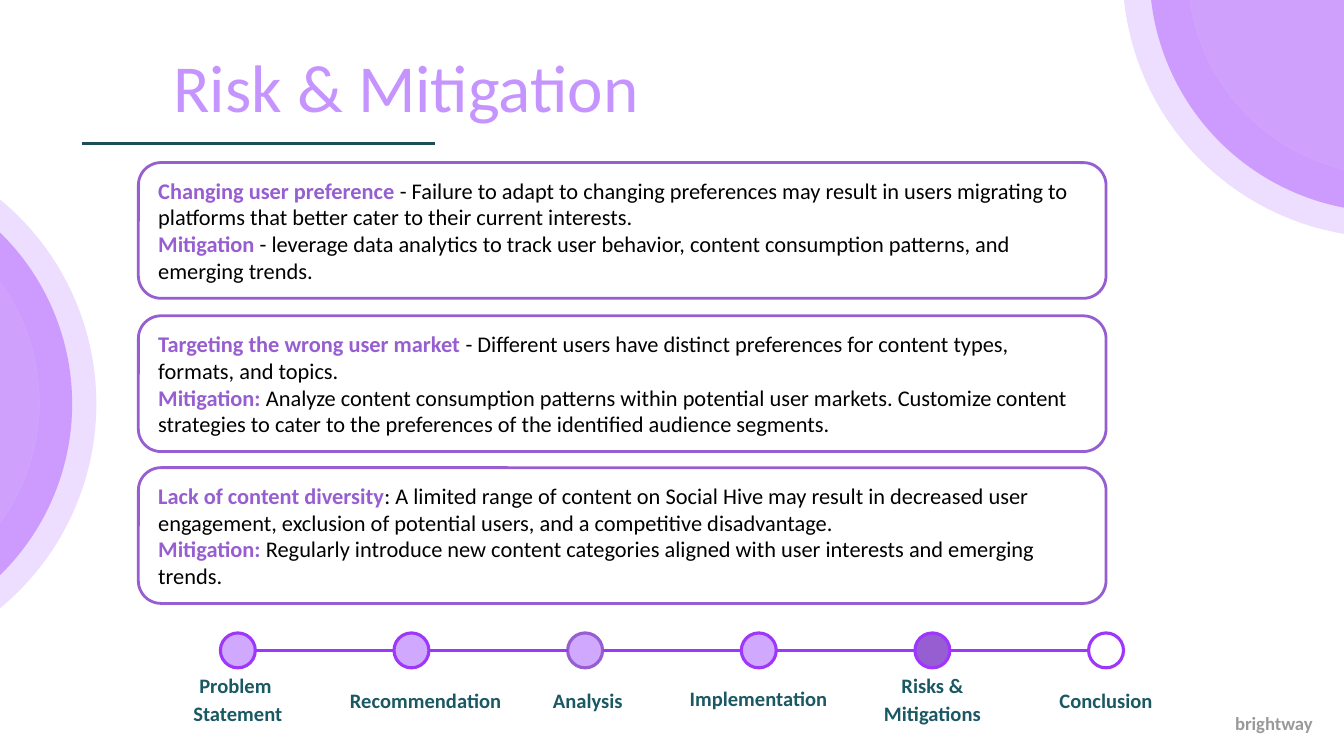
import pptx
import pptx.util
import pptx.dml.color
import pptx.enum.shapes
import pptx.enum.text
import pptx.oxml.ns
from lxml import etree

Inches = pptx.util.Inches
Pt = pptx.util.Pt
Shapes = pptx.enum.shapes.MSO_SHAPE
Align = pptx.enum.text.PP_ALIGN
Anchor = pptx.enum.text.MSO_ANCHOR

VIOLET = "9E36FC"
PURPLE = "975ED2"
LILAC = "D0A8FE"
TEAL = "1A5863"

# distance below the first box, then (lead, rest) for each paragraph
RISKS = [
    (0, [("Changing user preference ", "- Failure to adapt to changing preferences may result in "
          "users migrating to platforms that better cater to their current interests."),
         ("Mitigation", " - leverage data analytics to track user behavior, content consumption "
          "patterns, and emerging trends.")]),
    (1.14, [("Targeting the wrong user market ", "- Different users have distinct preferences for "
             "content types, formats, and topics."),
            ("Mitigation: ", "Analyze content consumption patterns within potential user markets. "
             "Customize content strategies to cater to the preferences of the identified audience "
             "segments.")]),
    (2.27, [("Lack of content diversity", ": A limited range of content on Social Hive may result "
             "in decreased user engagement, exclusion of potential users, and a competitive "
             "disadvantage."),
            ("Mitigation: ", "Regularly introduce new content categories aligned with user "
             "interests and emerging trends.")]),
]

# label lines, label box relative to its circle (left, top, width, height), fill, outline
STEPS = [
    (["Problem ", "Statement"], (-0.37, 0.28, 1, 0.41), LILAC, VIOLET),
    (["Recommendation"], (-0.46, 0.39, 1.39, 0.14), LILAC, VIOLET),
    (["Analysis"], (-0.35, 0.39, 1, 0.2), LILAC, PURPLE),
    (["Implementation "], (-0.56, 0.37, 1.41, 0.41), LILAC, VIOLET),
    (["Risks & Mitigations"], (-0.37, 0.28, 1, 0.41), PURPLE, VIOLET),
    (["Conclusion"], (-0.37, 0.39, 1, 0.2), None, VIOLET),
]

# distance from the left and top of the outer ring, diameter, fill, outline
RINGS = [
    (0, 0, 3.93, "D2ACFE", "EDDEFF"),
    (0.2, 0.19, 3.55, VIOLET, "CD9BFE"),
    (0.48, 0.44, 3.03, "D2ACFE", "CFA2FE"),
]


def rgb(value):
    return pptx.dml.color.RGBColor.from_string(value)


def set_alpha(color_parent, percent):
    """Make the solid fill found below an XML element partly transparent."""
    color = color_parent.find(".//" + pptx.oxml.ns.qn("a:srgbClr"))
    etree.SubElement(color, pptx.oxml.ns.qn("a:alpha"), val=str(percent * 1000))


def add_box(page, kind, left, top, width, height, fill=None, alpha=None, line=None, weight=1):
    box = page.shapes.add_shape(kind, Inches(left), Inches(top), Inches(width), Inches(height))
    box.shadow.inherit = False
    if fill:
        box.fill.solid()
        box.fill.fore_color.rgb = rgb(fill)
        if alpha:
            set_alpha(box._element.spPr, alpha)
    else:
        box.fill.background()
    if line:
        box.line.color.rgb = rgb(line)
        box.line.width = Pt(weight)
    else:
        box.line.fill.background()
    return box


def add_line(page, x1, x2, y, color):
    line = page.shapes.add_connector(pptx.enum.shapes.MSO_CONNECTOR.STRAIGHT,
                                     Inches(x1), Inches(y), Inches(x2), Inches(y))
    line.line.color.rgb = rgb(color)
    line.line.width = Pt(1.67)
    etree.SubElement(line._element.spPr, pptx.oxml.ns.qn("a:effectLst"))


def add_text_box(page, left, top, width, height):
    return page.shapes.add_textbox(Inches(left), Inches(top), Inches(width), Inches(height))


def write(box, paragraphs, size, align=Align.LEFT, anchor=Anchor.TOP, spacing=None, inset=True):
    """Fill a box with paragraphs, each a list of (text, colour, bold) spans."""
    frame = box.text_frame
    frame.word_wrap = True
    frame.vertical_anchor = anchor
    if not inset:
        frame.margin_left = frame.margin_top = frame.margin_right = frame.margin_bottom = 0
    for index, spans in enumerate(paragraphs):
        para = frame.add_paragraph() if index else frame.paragraphs[0]
        para.alignment = align
        if spacing:
            para.line_spacing = Pt(spacing)
        for text, color, bold in spans:
            span = para.add_run()
            span.text = text
            span.font.name = "Calibri"
            span.font.size = Pt(size)
            span.font.bold = bold
            span.font.color.rgb = rgb(color)


def add_heading(page, left, top):
    add_line(page, left, left + 2.63, top + 0.39, "1E4D57")
    title = add_text_box(page, left + 0.68, top, 4.28, 0.2)
    write(title, [[("Risk & Mitigation", "C594FE", False)]], 36, spacing=18.8, inset=False)


def add_rings(page, left, top):
    for right, down, diameter, fill, line in RINGS:
        add_box(page, Shapes.OVAL, left + right, top + down, diameter, diameter, fill, 40, line)


def add_brand(page, left, top):
    box = add_box(page, Shapes.RECTANGLE, left, top, 0.63, 0.21, "FFFFFF", 60)
    write(box, [[("brightway", "000000", True)]], 10, spacing=18.8, inset=False)
    set_alpha(box.text_frame.paragraphs[0].runs[0]._r, 40)


def add_risks(page, left, top, width, height):
    for down, risk in RISKS:
        box = add_box(page, Shapes.ROUNDED_RECTANGLE, left, top + down, width, height,
                      line=PURPLE, weight=1.5)
        paragraphs = [[(lead, PURPLE, True), (rest, "000000", False)] for lead, rest in risk]
        write(box, paragraphs, 12, anchor=Anchor.MIDDLE)


def add_progress(page, left, top, width):
    size = 0.26
    pitch = (width - size) / (len(STEPS) - 1)
    for index, (lines, label_box, fill, outline) in enumerate(STEPS):
        x = left + index * pitch
        add_box(page, Shapes.OVAL, x, top, size, size, fill, line=outline, weight=1.67)
        if index:
            add_line(page, x - pitch + size, x, top + size / 2, VIOLET)
        right, down, label_width, label_height = label_box
        label = add_text_box(page, x + right, top + down, label_width, label_height)
        write(label, [[(line, TEAL, True)] for line in lines], 11,
              align=Align.CENTER, spacing=14.7, inset=False)


def main():
    deck = pptx.Presentation()
    deck.slide_width = Inches(10)
    deck.slide_height = Inches(10 * 9 / 16)
    page = deck.slides.add_slide(deck.slide_layouts[6])
    add_heading(page, 0.61, 0.68)
    add_rings(page, -3.22, 1.04)
    add_rings(page, 8.36, -2.17)
    add_brand(page, 9.19, 5.2)
    add_risks(page, 1.03, 1.21, 7.2, 1.01)
    add_progress(page, 1.64, 4.71, 6.72)
    deck.save("out.pptx")


if __name__ == "__main__":
    main()
